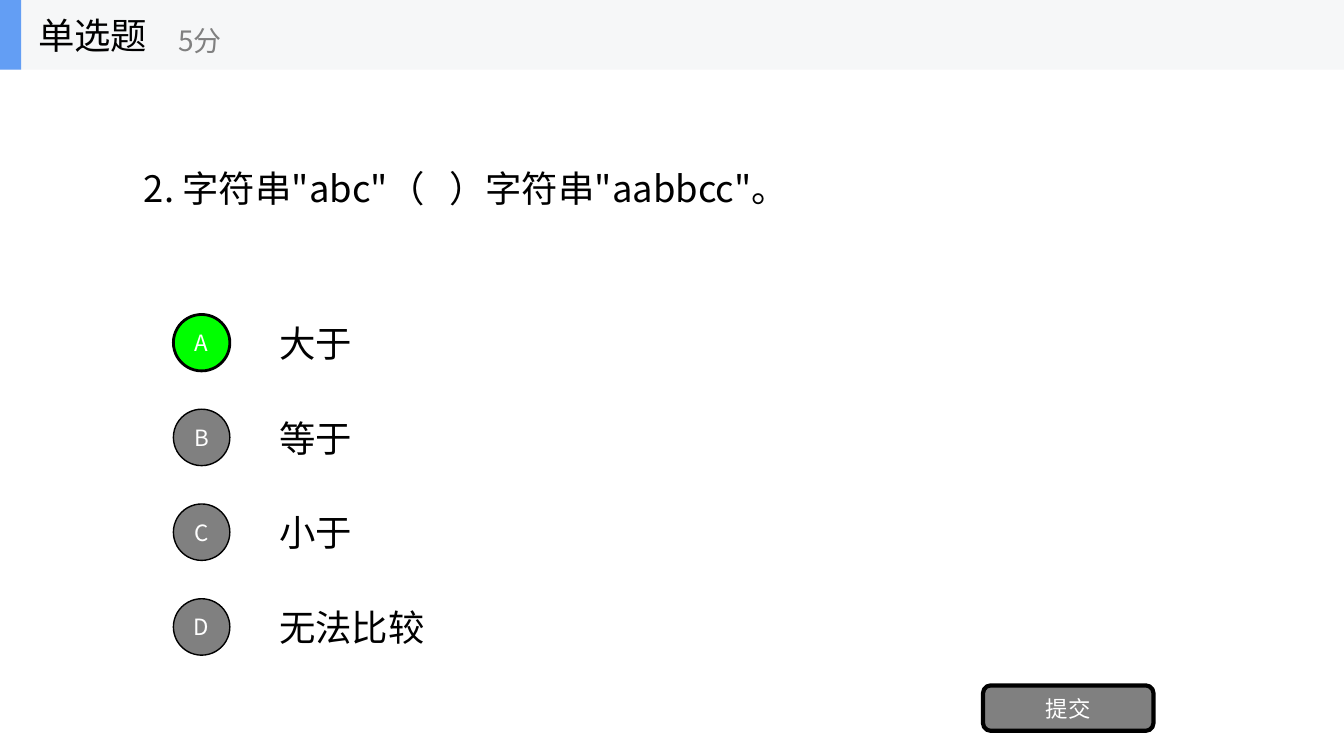
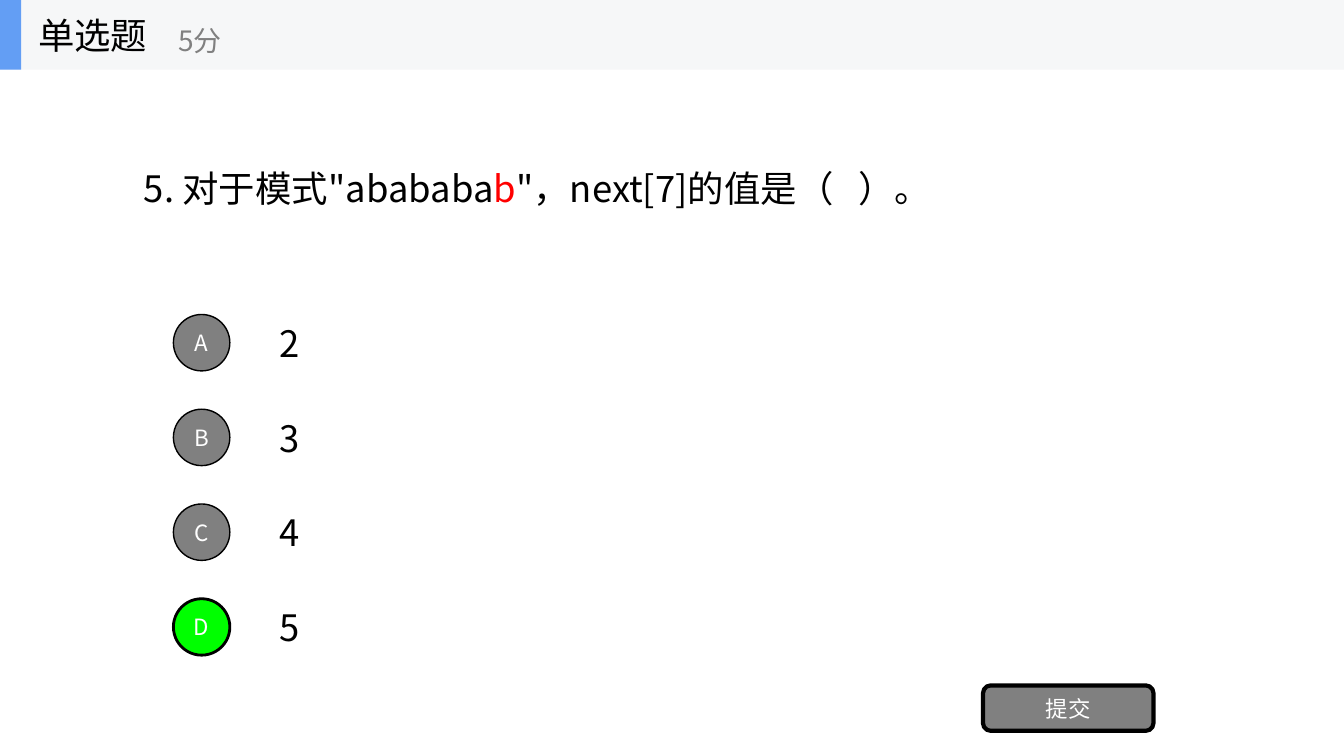
"""Build two single-choice quiz slides."""
from lxml import etree
from pptx import Presentation
from pptx.dml.color import RGBColor
from pptx.enum.shapes import MSO_SHAPE
from pptx.enum.text import MSO_ANCHOR, PP_ALIGN
from pptx.oxml.ns import qn
from pptx.util import Inches, Pt

RECT = MSO_SHAPE.RECTANGLE
ROUND_RECT = MSO_SHAPE.ROUNDED_RECTANGLE
OVAL = MSO_SHAPE.OVAL
MIDDLE = MSO_ANCHOR.MIDDLE
CENTER = PP_ALIGN.CENTER

FONT = "Noto Sans CJK SC"
BLACK, WHITE, GRAY = "000000", "FFFFFF", "808080"
GREEN, RED = "00FF00", "FF0000"
BAND, ACCENT = "F6F7F8", "639EF4"
SLIDE_W, SLIDE_H, BAND_H = 13.33, 7.5, 0.69
BODY_SIZE, POINTS_SIZE, BUTTON_SIZE = 26, 20, 16
FIRST_CENTER, PITCH = 3.4, 0.94
CIRCLE, OPTION_H = 0.56, 0.7
BLANK = " "
BLANK_SPACING = 1160

QUESTIONS = [
    ([("2. 字符串\"abc\"（", BLACK), (BLANK, BLACK),
      ("）字符串\"aabbcc\"。", BLACK)],
     ["大于", "等于", "小于", "无法比较"], "A"),
    ([("5. 对于模式\"abababa", BLACK), ("b", RED),
      ("\"，next[7]的值是（", BLACK), (BLANK, BLACK), ("）。", BLACK)],
     ["2", "3", "4", "5"], "D"),
]


def rgb(color):
    """Turn a hex string into a colour."""
    return RGBColor.from_string(color)


def add_run(p, text, size, color):
    """Add one styled run, widening an answer blank."""
    r = p.add_run()
    r.text = text
    r.font.size = Pt(size)
    r.font.color.rgb = rgb(color)
    r.font.name = FONT
    rPr = r.font._element
    etree.SubElement(rPr, qn("a:ea")).set("typeface", FONT)
    if text == BLANK:
        rPr.set("spc", str(BLANK_SPACING))


def add_text(shapes, box, runs, size=BODY_SIZE, wrap=True):
    """Add a vertically centred text box made of (text, colour) runs."""
    tf = shapes.add_textbox(*map(Inches, box)).text_frame
    tf.word_wrap = wrap
    tf.vertical_anchor = MIDDLE
    for text, color in runs:
        add_run(tf.paragraphs[0], text, size, color)


def add_block(shapes, kind, box, fill):
    """Add a filled shape without outline or shadow."""
    sp = shapes.add_shape(kind, *map(Inches, box))
    sp.shadow.inherit = False
    sp.fill.solid()
    sp.fill.fore_color.rgb = rgb(fill)
    sp.line.fill.background()
    return sp


def add_button(shapes, kind, box, text, fill, line_width):
    """Add an outlined shape with a centred white label."""
    sp = add_block(shapes, kind, box, fill)
    sp.line.color.rgb = rgb(BLACK)
    sp.line.width = Pt(line_width)
    tf = sp.text_frame
    tf.margin_left = tf.margin_right = tf.margin_top = tf.margin_bottom = 0
    tf.vertical_anchor = MIDDLE
    p = tf.paragraphs[0]
    p.alignment = CENTER
    add_run(p, text, BUTTON_SIZE, WHITE)


def add_header(s):
    """Add the grouped title band with question type and points."""
    shapes = s.shapes.add_group_shape().shapes
    add_block(shapes, RECT, (0, 0, SLIDE_W, BAND_H), BAND)
    add_block(shapes, RECT, (0, 0, 0.21, BAND_H), ACCENT)
    add_text(shapes, (0.28, 0, 2.08, BAND_H), [("单选题", BLACK)], wrap=False)
    add_text(shapes, (1.67, 0.12, 2.5, 0.56), [("5分", GRAY)],
             POINTS_SIZE, wrap=False)


def add_options(s, options, answer):
    """Add lettered options and highlight the answer."""
    for i, (letter, option) in enumerate(zip("ABCD", options)):
        center = FIRST_CENTER + i * PITCH
        add_text(s.shapes, (2.67, center - OPTION_H / 2, 9.33, OPTION_H),
                 [(option, BLACK)])
        fill, line_width = (GREEN, 2) if letter == answer else (GRAY, 1)
        add_button(s.shapes, OVAL,
                   (1.72, center - CIRCLE / 2, CIRCLE, CIRCLE),
                   letter, fill, line_width)


def add_question(prs, question, options, answer):
    """Add one complete question slide."""
    s = prs.slides.add_slide(prs.slide_layouts[6])
    add_text(s.shapes, (1.33, BAND_H, 10.67, 2.34), question)
    add_options(s, options, answer)
    add_button(s.shapes, ROUND_RECT, (9.75, 6.8, 1.69, 0.45),
               "提交", GRAY, 3)
    add_header(s)


def main():
    """Create and save the presentation."""
    prs = Presentation()
    prs.slide_width = Inches(SLIDE_W)
    prs.slide_height = Inches(SLIDE_H)
    for question, options, answer in QUESTIONS:
        add_question(prs, question, options, answer)
    prs.save("out.pptx")


if __name__ == "__main__":
    main()
